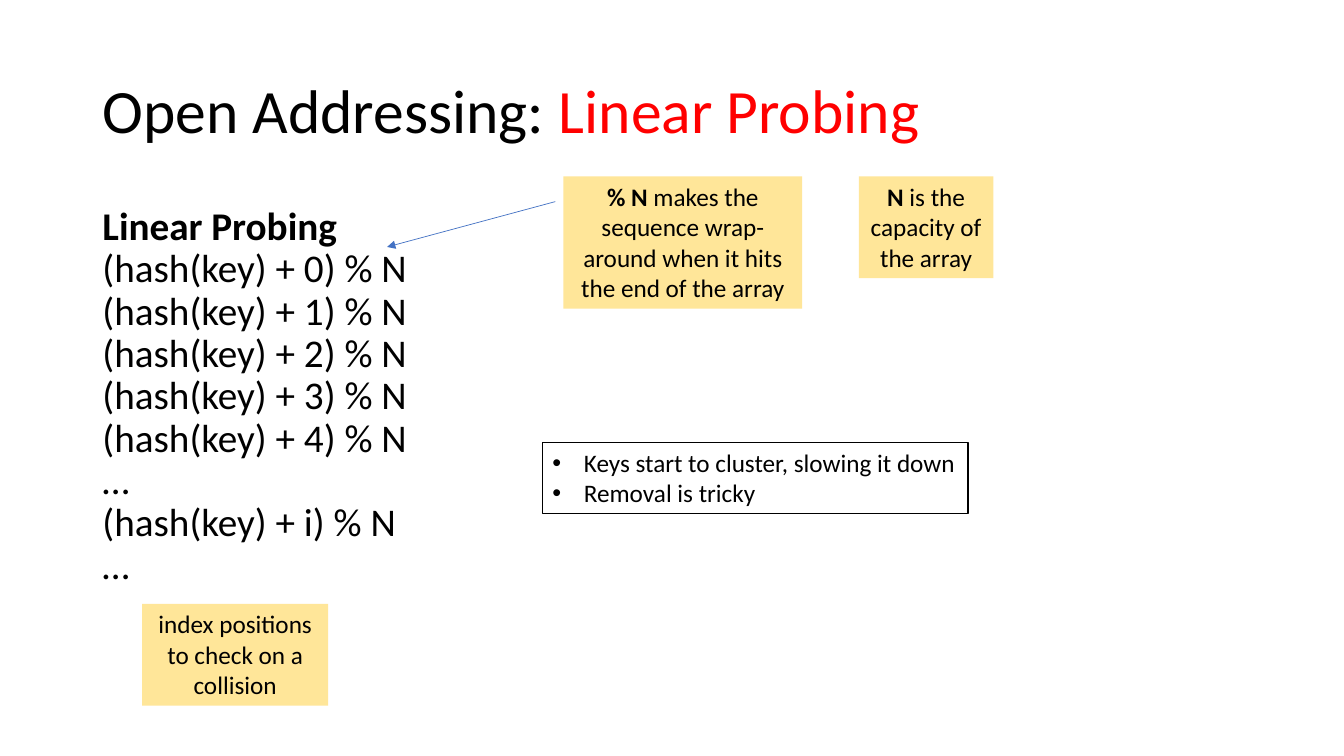
from dataclasses import dataclass

from lxml.etree import SubElement
from pptx import Presentation
from pptx.dml.color import RGBColor
from pptx.enum.shapes import MSO_CONNECTOR
from pptx.enum.text import MSO_ANCHOR, MSO_AUTO_SIZE, PP_ALIGN
from pptx.oxml.ns import qn
from pptx.util import Pt

FONT = "Calibri"
BLACK, RED, BLUE, YELLOW = "000000", "FF0000", "4472C4", "FFE699"
NOTE_SIZE = 18


@dataclass
class Box:
    left: float
    top: float
    width: float
    height: float


@dataclass
class Note:
    box: Box
    bold_text: str
    text: str


NOTES = [
    Note(Box(402.5, 126, 170.5, 94.5), "% N ",
         "makes the sequence wrap-around when it hits the end of the array"),
    Note(Box(613.5, 126, 96, 72.7), "N", " is the capacity of the array"),
    Note(Box(101.5, 431.3, 133, 72.7), "", "index positions to check on a collision"),
]
DRAWBACKS = ["Keys start to cluster, slowing it down", "Removal is tricky"]
DRAWBACK_BOX = Box(387.5, 316, 304, 51)
PROBES = [f"(hash(key) + {step}) % N" for step in range(5)]
PROBES += ["…", "(hash(key) + i) % N", "…"]


def color(hex_value: str) -> RGBColor:
    return RGBColor.from_string(hex_value)


def place(shape, box: Box) -> None:
    shape.left, shape.top = Pt(box.left), Pt(box.top)
    shape.width, shape.height = Pt(box.width), Pt(box.height)


def format_paragraph(paragraph, size: float, alignment=PP_ALIGN.LEFT) -> None:
    paragraph.alignment = alignment
    paragraph.font.name = FONT
    paragraph.font.size = Pt(size)
    paragraph.font.color.rgb = color(BLACK)


def add_run(paragraph, text: str, bold: bool = False):
    run = paragraph.add_run()
    run.text = text
    run.font.bold = bold
    return run


def set_bullet(paragraph, character: str = "", indent: float = 0) -> None:
    properties = paragraph._p.get_or_add_pPr()
    properties.set("marL", str(Pt(indent)))
    properties.set("indent", str(-Pt(indent)))
    if character:
        bullet_font = properties.makeelement(qn("a:buFont"), {"typeface": "Arial"})
        bullet = properties.makeelement(qn("a:buChar"), {"char": character})
        elements = [bullet_font, bullet]
    else:
        elements = [properties.makeelement(qn("a:buNone"), {})]
    default_font = properties.find(qn("a:defRPr"))
    for element in elements:
        default_font.addprevious(element)


def add_text_box(slide, box: Box):
    shape = slide.shapes.add_textbox(
        Pt(box.left), Pt(box.top), Pt(box.width), Pt(box.height))
    shape.text_frame.word_wrap = True
    shape.text_frame.auto_size = MSO_AUTO_SIZE.SHAPE_TO_FIT_TEXT
    return shape


def add_title(slide) -> None:
    title = slide.shapes.title
    place(title, Box(66, 28.8, 828, 104.4))
    frame = title.text_frame
    frame.vertical_anchor = MSO_ANCHOR.MIDDLE
    frame.auto_size = MSO_AUTO_SIZE.NONE
    paragraph = frame.paragraphs[0]
    format_paragraph(paragraph, 44)
    paragraph.line_spacing = 0.9
    add_run(paragraph, "Open Addressing: ")
    add_run(paragraph, "Linear Probing").font.color.rgb = color(RED)


def add_probe_sequence(slide) -> None:
    body = slide.placeholders[1]
    place(body, Box(66, 144, 304, 342.7))
    frame = body.text_frame
    frame.auto_size = MSO_AUTO_SIZE.NONE
    paragraph = frame.paragraphs[0]
    format_paragraph(paragraph, 28)
    paragraph.line_spacing = 0.9
    paragraph.space_before = Pt(10)
    set_bullet(paragraph)
    add_run(paragraph, "Linear Probing", bold=True)
    for probe in PROBES:
        paragraph.add_line_break()
        add_run(paragraph, probe)


def add_note(slide, note: Note) -> None:
    shape = add_text_box(slide, note.box)
    shape.fill.solid()
    shape.fill.fore_color.rgb = color(YELLOW)
    paragraph = shape.text_frame.paragraphs[0]
    format_paragraph(paragraph, NOTE_SIZE, PP_ALIGN.CENTER)
    if note.bold_text:
        add_run(paragraph, note.bold_text, bold=True)
    add_run(paragraph, note.text)


def add_drawbacks(slide) -> None:
    shape = add_text_box(slide, DRAWBACK_BOX)
    shape.line.color.rgb = color(BLACK)
    shape.line.width = Pt(0.75)
    frame = shape.text_frame
    frame.text = "\n".join(DRAWBACKS)
    for paragraph in frame.paragraphs:
        format_paragraph(paragraph, NOTE_SIZE)
        set_bullet(paragraph, "•", 22.5)


def add_arrow(slide) -> None:
    arrow = slide.shapes.add_connector(
        MSO_CONNECTOR.STRAIGHT, Pt(396.7), Pt(144), Pt(276.5), Pt(176.4))
    arrow.line.color.rgb = color(BLUE)
    arrow.line.width = Pt(0.5)
    SubElement(arrow.line._get_or_add_ln(), qn("a:tailEnd"), type="triangle")
    SubElement(arrow._element.spPr, qn("a:effectLst"))


def main() -> None:
    presentation = Presentation()
    presentation.slide_width, presentation.slide_height = Pt(960), Pt(540)
    slide = presentation.slides.add_slide(presentation.slide_layouts[1])

    # Title and probe sequence
    add_title(slide)
    add_probe_sequence(slide)

    # Notes, drawbacks and the arrow to the formula
    for note in NOTES:
        add_note(slide, note)
    add_drawbacks(slide)
    add_arrow(slide)

    presentation.save("out.pptx")


if __name__ == "__main__":
    main()
